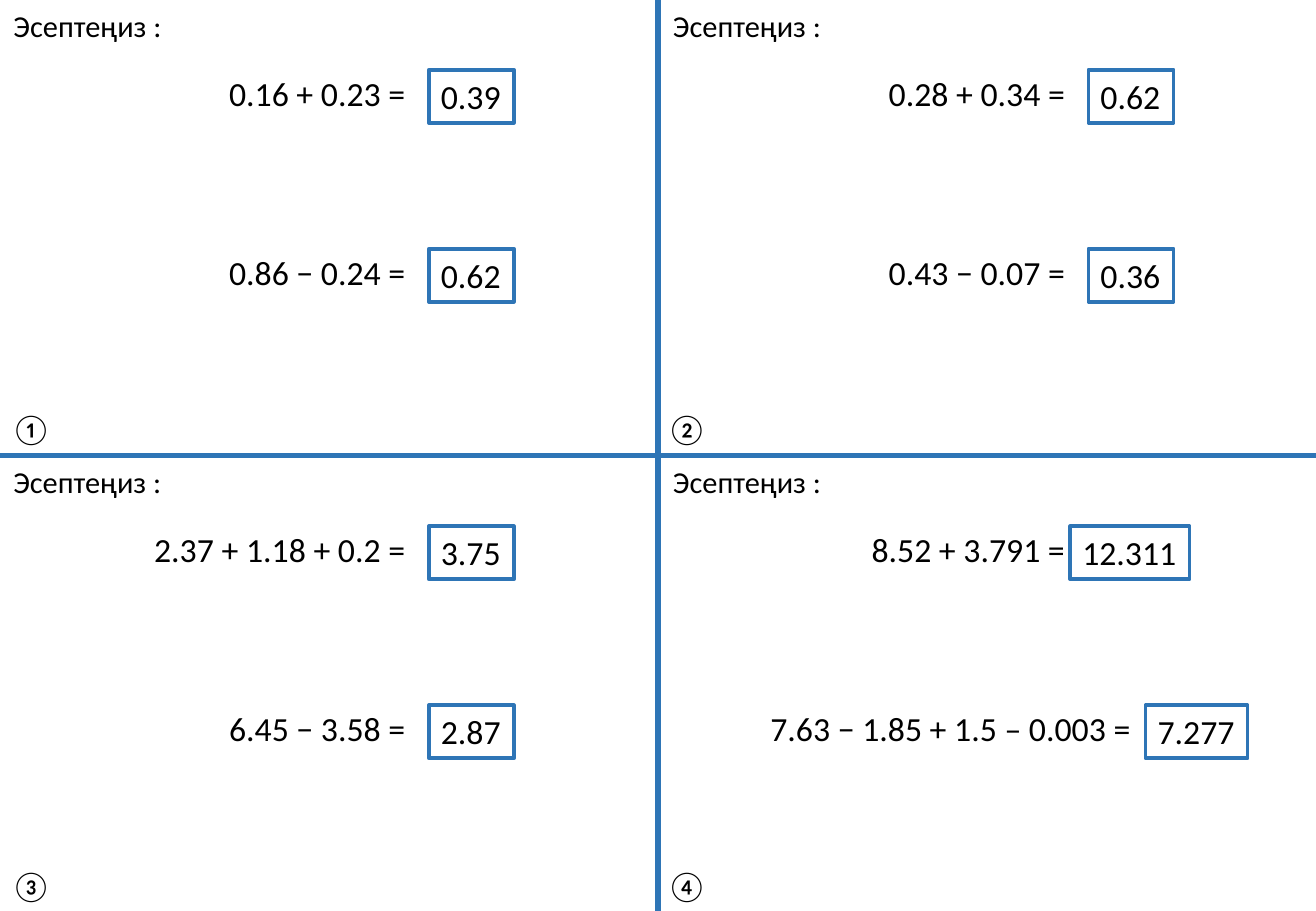
"""Build a slide of four numbered panels of decimal sums with boxed answers."""
from dataclasses import dataclass

from pptx import Presentation
from pptx.dml.color import RGBColor
from pptx.enum.shapes import MSO_CONNECTOR, MSO_SHAPE
from pptx.enum.text import MSO_ANCHOR, MSO_AUTO_SIZE, PP_ALIGN
from pptx.oxml.ns import qn
from pptx.shapes.autoshape import Shape
from pptx.slide import Slide
from pptx.util import Pt

STRAIGHT = MSO_CONNECTOR.STRAIGHT
RECTANGLE = MSO_SHAPE.RECTANGLE
TOP = MSO_ANCHOR.TOP
FIT_SHAPE = MSO_AUTO_SIZE.SHAPE_TO_FIT_TEXT
LEFT, RIGHT, JUSTIFY = PP_ALIGN.LEFT, PP_ALIGN.RIGHT, PP_ALIGN.JUSTIFY

FONT = "Calibri"
BLUE, BLACK, WHITE = "2E75B6", "000000", "FFFFFF"
HEADING = "Эсептеңиз :"
PAGE_WIDTH, PAGE_HEIGHT = 780, 540
PANEL_STEP_X, PANEL_STEP_Y = 391, 270.6
SUM_TOP, SUM_STEP, SUM_HEIGHT = 39.5, 106.1, 31.5
ANSWER_DROP = 1.8
LABEL_HEIGHT = 29


@dataclass
class Sum:
    """One expression and its answer, placed relative to its panel."""
    expression: str
    answer: str
    expression_width: float = 124.6
    expression_right: float = 252
    answer_left: float = 254.2
    answer_width: float = 50.4


@dataclass
class Panel:
    """One numbered quarter of the page."""
    number: str
    number_left: float
    sums: list[Sum]


PANELS = [
    Panel("①", -0.5, [Sum("0.16 + 0.23 = ", "0.39"), Sum("0.86 − 0.24 = ", "0.62")]),
    Panel("②", 388.2, [Sum("0.28 + 0.34 = ", "0.62"), Sum("0.43 − 0.07 = ", "0.36")]),
    Panel("③", -0.5, [Sum("2.37 + 1.18 + 0.2 = ", "3.75", 169.2),
                      Sum("6.45 − 3.58 = ", "2.87")]),
    Panel("④", 388.2, [Sum("8.52 + 3.791 = ", "12.311", 134.6, 252, 243.4, 70.6),
                       Sum("7.63 − 1.85 + 1.5 – 0.003 = ", "7.277", 234, 291, 288, 60.5)]),
]


def color(value: str) -> RGBColor:
    """Turn a hex string into a colour."""
    return RGBColor.from_string(value)


def write(box: Shape, text: str, size: float, align: PP_ALIGN) -> None:
    """Fill a box with one unwrapped line of text."""
    frame = box.text_frame
    frame.word_wrap = False
    frame.auto_size = FIT_SHAPE
    frame.vertical_anchor = TOP
    para = frame.paragraphs[0]
    para.text = text
    para.alignment = align
    para.font.name = FONT
    para.font.size = Pt(size)
    para.font.color.rgb = color(BLACK)


def add_text(page: Slide, text: str, left: float, top: float, width: float,
             height: float, size: float = 18, align: PP_ALIGN = LEFT) -> None:
    """Add a text box with one line."""
    box = page.shapes.add_textbox(Pt(left), Pt(top), Pt(width), Pt(height))
    write(box, text, size, align)


def add_answer(page: Slide, text: str, left: float, top: float, width: float) -> None:
    """Add a framed answer."""
    box = page.shapes.add_shape(RECTANGLE, Pt(left), Pt(top), Pt(width), Pt(SUM_HEIGHT))
    box.shadow.inherit = False
    box.fill.solid()
    box.fill.fore_color.rgb = color(WHITE)
    box.line.color.rgb = color(BLUE)
    box.line.width = Pt(2.25)
    write(box, text, 20, JUSTIFY)


def add_divider(page: Slide, x1: float, y1: float, x2: float, y2: float) -> None:
    """Add a line that separates panels."""
    line = page.shapes.add_connector(STRAIGHT, Pt(x1), Pt(y1), Pt(x2), Pt(y2))
    line.line.color.rgb = color(BLUE)
    line.line.width = Pt(3)
    properties = line._element.spPr
    properties.append(properties.makeelement(qn("a:effectLst"), {}))


def add_heading(page: Slide, index: int, left: float, top: float) -> None:
    """Head the first panel with the title placeholder and the others with text boxes."""
    if index:
        add_text(page, HEADING, left, top, 103.5, LABEL_HEIGHT)
        return
    title = page.shapes.title
    title.left, title.top = Pt(left), Pt(top)
    title.width, title.height = Pt(103.5), Pt(LABEL_HEIGHT)
    write(title, HEADING, 18, LEFT)


def add_panel(page: Slide, index: int, panel: Panel) -> None:
    """Add the heading, sums and number of one panel."""
    row, column = divmod(index, 2)
    left, top = column * PANEL_STEP_X, row * PANEL_STEP_Y
    add_heading(page, index, left + 0.8, top + 0.5)
    for position, item in enumerate(panel.sums):
        sum_top = top + SUM_TOP + position * SUM_STEP
        add_text(page, item.expression, left + item.expression_right - item.expression_width,
                 sum_top, item.expression_width, SUM_HEIGHT, 20, RIGHT)
        add_answer(page, item.answer, left + item.answer_left,
                   sum_top + ANSWER_DROP, item.answer_width)
    add_text(page, panel.number, panel.number_left, top + 239.8, 39, LABEL_HEIGHT)


def main() -> None:
    """Build and save the deck."""
    deck = Presentation()
    deck.slide_width, deck.slide_height = Pt(PAGE_WIDTH), Pt(PAGE_HEIGHT)
    page = deck.slides.add_slide(deck.slide_layouts[5])
    add_divider(page, PAGE_WIDTH / 2, 0, PAGE_WIDTH / 2, PAGE_HEIGHT)
    add_divider(page, PAGE_WIDTH, PAGE_HEIGHT / 2, 0, PAGE_HEIGHT / 2)
    for index, panel in enumerate(PANELS):
        add_panel(page, index, panel)
    deck.save("out.pptx")


if __name__ == "__main__":
    main()
